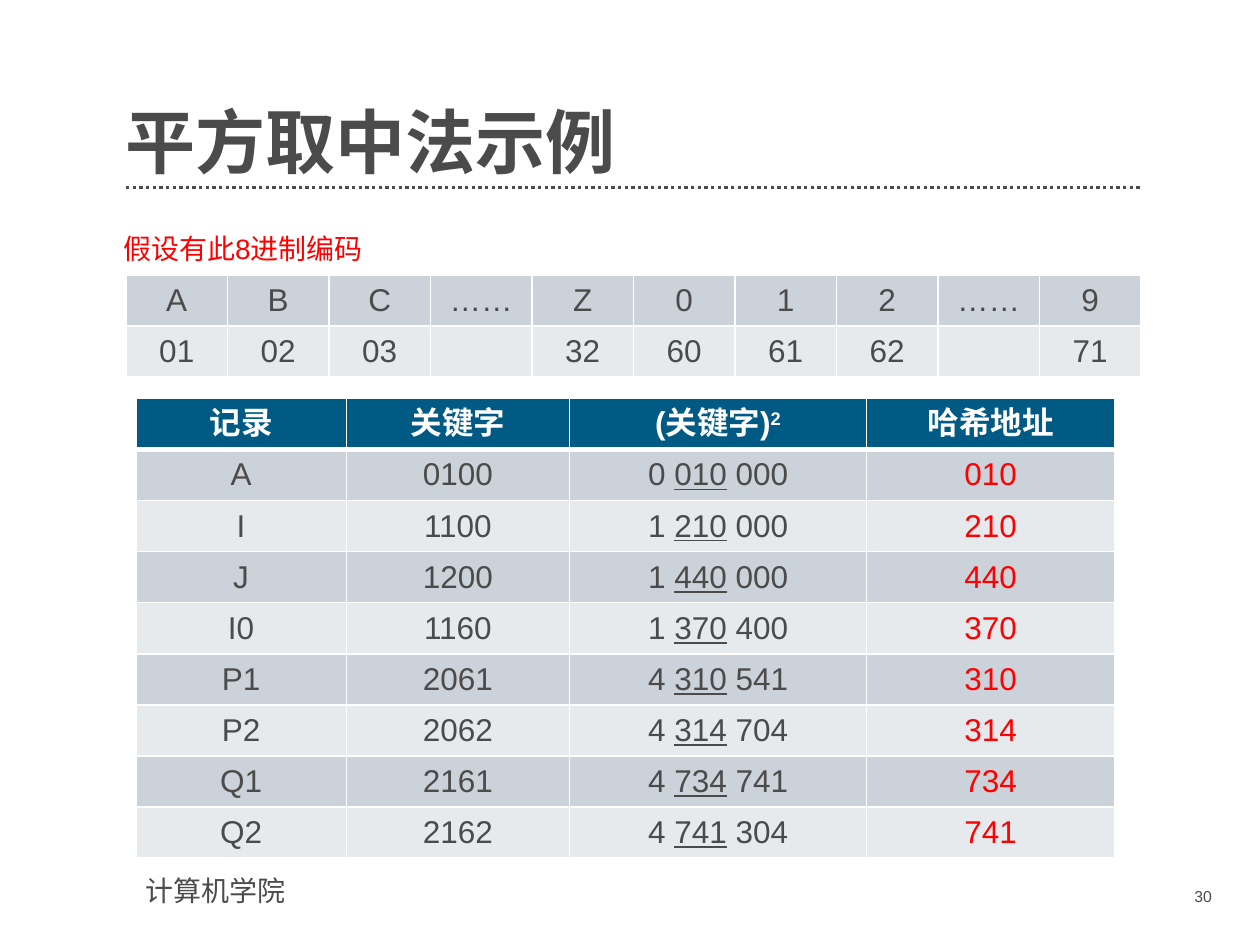
from dataclasses import dataclass

from lxml import etree
from pptx import Presentation
from pptx import util as u
from pptx.dml.color import RGBColor
from pptx.enum import dml, shapes, text
from pptx.oxml.ns import qn


@dataclass(frozen=True)
class Theme:
    ink: str = "4B4B4B"
    accent: str = "FF0000"
    white: str = "FFFFFF"
    header: str = "005A84"
    bands: tuple = ("CCD2D9", "E7EAED")
    latin: str = "Arial"
    heading: str = "Noto Sans CJK SC"
    title_size: int = 40
    table_size: int = 18
    body_size: int = 16
    number_size: int = 9


class SlideBuilder:
    def __init__(self, slide, theme):
        self.s = slide
        self.theme = theme

    def style(self, r, size, color, bold=False, font=None):
        r.font.size = u.Pt(size)
        r.font.bold = bold
        r.font.color.rgb = RGBColor.from_string(color)
        r.font.name = font or self.theme.latin
        ea = etree.SubElement(r.font._element, qn("a:ea"))
        ea.set("typeface", r.font.name)

    def text(self, box, content, size, color=None, align=text.PP_ALIGN.LEFT):
        sp = self.s.shapes.add_textbox(*map(u.Cm, box))
        tf = sp.text_frame
        tf.word_wrap = True
        tf.text = content
        p = tf.paragraphs[0]
        p.alignment = align
        self.style(p.runs[0], size, color or self.theme.ink)
        return tf

    def title(self, box, content):
        tf = self.text(box, content, self.theme.title_size)
        tf.margin_left = tf.margin_right = tf.margin_top = tf.margin_bottom = 0
        tf.vertical_anchor = text.MSO_ANCHOR.BOTTOM
        p = tf.paragraphs[0]
        p.line_spacing = 0.9
        self.style(p.runs[0], self.theme.title_size, self.theme.ink,
                   bold=True, font=self.theme.heading)

    def dotted_rule(self, left, right, y):
        line = self.s.shapes.add_connector(
            shapes.MSO_CONNECTOR.STRAIGHT, *map(u.Cm, (left, y, right, y)))
        line.line.color.rgb = RGBColor.from_string(self.theme.ink)
        line.line.width = u.Pt(1.9)
        line.line.dash_style = dml.MSO_LINE.ROUND_DOT
        etree.SubElement(line._element.spPr, qn("a:effectLst"))

    def borders(self, cell, top=1, bottom=1):
        tc_pr = cell._tc.get_or_add_tcPr()
        for side, width in (("L", 1), ("R", 1), ("T", top), ("B", bottom)):
            ln = etree.SubElement(tc_pr, qn(f"a:ln{side}"), w=str(u.Pt(width)))
            fill = etree.SubElement(ln, qn("a:solidFill"))
            etree.SubElement(fill, qn("a:srgbClr"), val=self.theme.white)

    def table(self, left, top, widths, row_height, rows, has_header=False,
              accent_column=None):
        """A cell is a string, or a list of (text, mark) runs."""
        th = self.theme
        frame = self.s.shapes.add_table(
            len(rows), len(widths), u.Cm(left), u.Cm(top),
            u.Cm(sum(widths)), u.Cm(row_height * len(rows)))
        table = frame.table
        table.first_row = has_header
        table.horz_banding = False
        for column, width in zip(table.columns, widths):
            column.width = u.Cm(width)
        for i, row in enumerate(rows):
            table.rows[i].height = u.Cm(row_height)
            is_header = has_header and i == 0
            band = th.bands[(i - has_header) % 2]
            for j, content in enumerate(row):
                cell = table.cell(i, j)
                self.borders(cell, top=3 if has_header and i == 1 else 1,
                             bottom=3 if is_header else 1)
                cell.fill.solid()
                cell.fill.fore_color.rgb = RGBColor.from_string(
                    th.header if is_header else band)
                cell.vertical_anchor = text.MSO_ANCHOR.MIDDLE
                color = (th.white if is_header
                         else th.accent if j == accent_column else th.ink)
                self.fill_cell(cell, content, color, is_header)

    def fill_cell(self, cell, content, color, bold):
        p = cell.text_frame.paragraphs[0]
        p.alignment = text.PP_ALIGN.CENTER
        if not content:
            p.font.size = u.Pt(self.theme.table_size)
            return
        runs = [(content, None)] if isinstance(content, str) else content
        for words, mark in runs:
            r = p.add_run()
            r.text = words
            self.style(r, self.theme.table_size, color, bold)
            if mark == "underline":
                r.font.underline = True
            elif mark == "superscript":
                r.font._element.set("baseline", "30000")


def main():
    prs = Presentation()
    prs.slide_width, prs.slide_height = u.Cm(25.4), u.Cm(19.05)
    theme = Theme()
    page = SlideBuilder(prs.slides.add_slide(prs.slide_layouts[6]), theme)
    left, width, row_height = 2.54, 20.47, 1.03

    # Heading and footer
    page.dotted_rule(left, left + width, 3.78)
    page.text((2.69, 17.48, 6.5, 0.94), "计算机学院", theme.body_size)
    page.title((left, 1.4, width, 2.31), "平方取中法示例")

    # Character codes
    codes = [("A", "01"), ("B", "02"), ("C", "03"), ("……", ""), ("Z", "32"),
             ("0", "60"), ("1", "61"), ("2", "62"), ("……", ""), ("9", "71")]
    page.table(left, 5.54, [width / len(codes)] * len(codes), row_height,
               list(zip(*codes)))

    # Page number and caption
    page.text((22.17, 17.75, 2.51, 0.74), "30", theme.number_size,
              align=text.PP_ALIGN.RIGHT)
    page.text((2.24, 4.55, 17.93, 0.94), "假设有此8进制编码", theme.body_size,
              theme.accent)

    # Hash addresses: the middle digits of each squared key
    records = [("A", "0100", "0 010 000"), ("I", "1100", "1 210 000"),
               ("J", "1200", "1 440 000"), ("I0", "1160", "1 370 400"),
               ("P1", "2061", "4 310 541"), ("P2", "2062", "4 314 704"),
               ("Q1", "2161", "4 734 741"), ("Q2", "2162", "4 741 304")]
    rows = [("记录", "关键字", [("(关键字)", None), ("2", "superscript")],
             "哈希地址")]
    for record, key, square in records:
        head, middle, tail = square.split()
        rows.append((record, key, [(head + " ", None), (middle, "underline"),
                                   (" " + tail, None)], middle))
    page.table(2.74, 8.03, [4.24, 4.5, 5.99, 5], row_height, rows,
               has_header=True, accent_column=3)

    prs.save("out.pptx")


if __name__ == "__main__":
    main()
